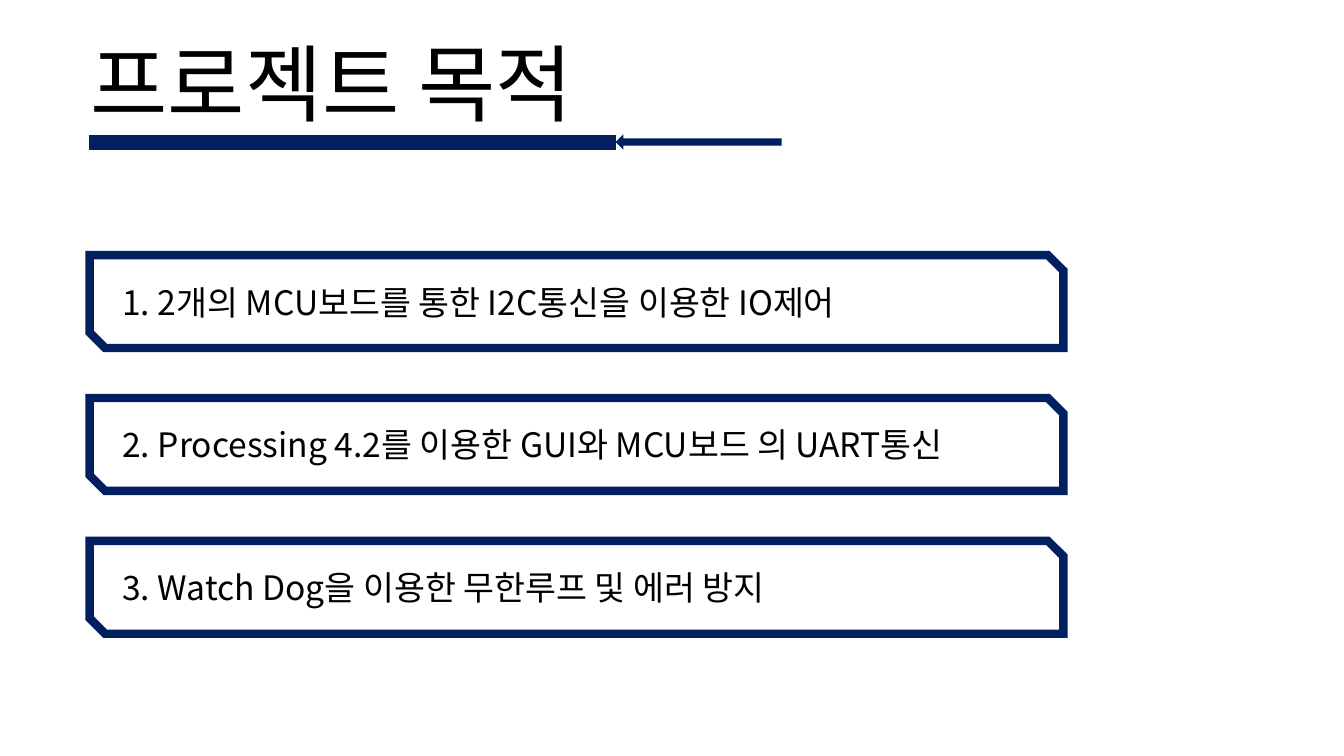
from lxml import etree
from pptx import Presentation
from pptx import util as u
from pptx.dml.color import RGBColor
from pptx.enum import shapes, text
from pptx.oxml.ns import qn

FONT = "Noto Sans CJK KR"
NAVY, WHITE, BLACK = "002060", "FFFFFF", "000000"
LEFT = 2.26  # shared left edge in cm
GOALS = [
    "1. 2개의 MCU보드를 통한 I2C통신을 이용한 IO제어",
    "2. Processing 4.2를 이용한 GUI와 MCU보드 의 UART통신",
    "3. Watch Dog을 이용한 무한루프 및 에러 방지",
]


def color(value):
    return RGBColor.from_string(value)


def place(shape, left, top, width, height):
    shape.left, shape.top = u.Cm(left), u.Cm(top)
    shape.width, shape.height = u.Cm(width), u.Cm(height)


def write(shape, wording, size):
    """Put one left-aligned, vertically centred line into a shape."""
    frame = shape.text_frame
    frame.text = wording
    frame.word_wrap = True
    frame.auto_size = text.MSO_AUTO_SIZE.NONE
    frame.vertical_anchor = text.MSO_ANCHOR.MIDDLE
    para = frame.paragraphs[0]
    para.alignment = text.PP_ALIGN.LEFT
    for span in para.runs:
        span.font.size = u.Pt(size)
        span.font.name = FONT
        span.font.color.rgb = color(BLACK)
        # Korean letters take the East Asian font
        east_asian = etree.SubElement(span.font._element, qn("a:ea"))
        east_asian.set("typeface", FONT)
    return para


def add_block(page, kind, position, fill, line_width):
    """Add a navy-outlined preset shape with sharp corners."""
    block = page.shapes.add_shape(kind, 0, 0, 0, 0)
    place(block, *position)
    block.shadow.inherit = False
    block.fill.solid()
    block.fill.fore_color.rgb = color(fill)
    block.line.color.rgb = color(NAVY)
    block.line.width = u.Pt(line_width)
    outline = block._element.spPr.find(qn("a:ln"))
    etree.SubElement(outline, qn("a:miter")).set("lim", "800000")
    return block


def add_title(page, wording):
    title = page.shapes.title
    place(title, 2.03, 0.38, 29.21, 3.68)
    write(title, wording, 60).line_spacing = 0.9


def add_underline(page):
    preset = shapes.MSO_SHAPE
    add_block(page, preset.RECTANGLE, (LEFT, 3.43, 13.26, 0.33), NAVY, 1)
    arrow = add_block(page, preset.RIGHT_ARROW, (15.54, 3.43, 4.14, 0.3), NAVY, 1)
    arrow.rotation = 180


def add_goal(page, index, wording):
    position = (LEFT, 6.43 + index * 3.6, 24.54, 2.34)
    box = add_block(page, shapes.MSO_SHAPE.SNIP_2_DIAG_RECTANGLE,
                    position, WHITE, 6)
    write(box, wording, 24)
    box.text_frame.margin_left = u.Cm(0.63)


def main():
    deck = Presentation()
    deck.slide_width, deck.slide_height = u.Cm(33.87), u.Cm(19.05)
    page = deck.slides.add_slide(deck.slide_layouts.get_by_name("Title Only"))

    # Heading
    add_title(page, "프로젝트 목적")
    add_underline(page)

    # Project goals
    for index, goal in enumerate(GOALS):
        add_goal(page, index, goal)

    deck.save("out.pptx")


if __name__ == "__main__":
    main()
